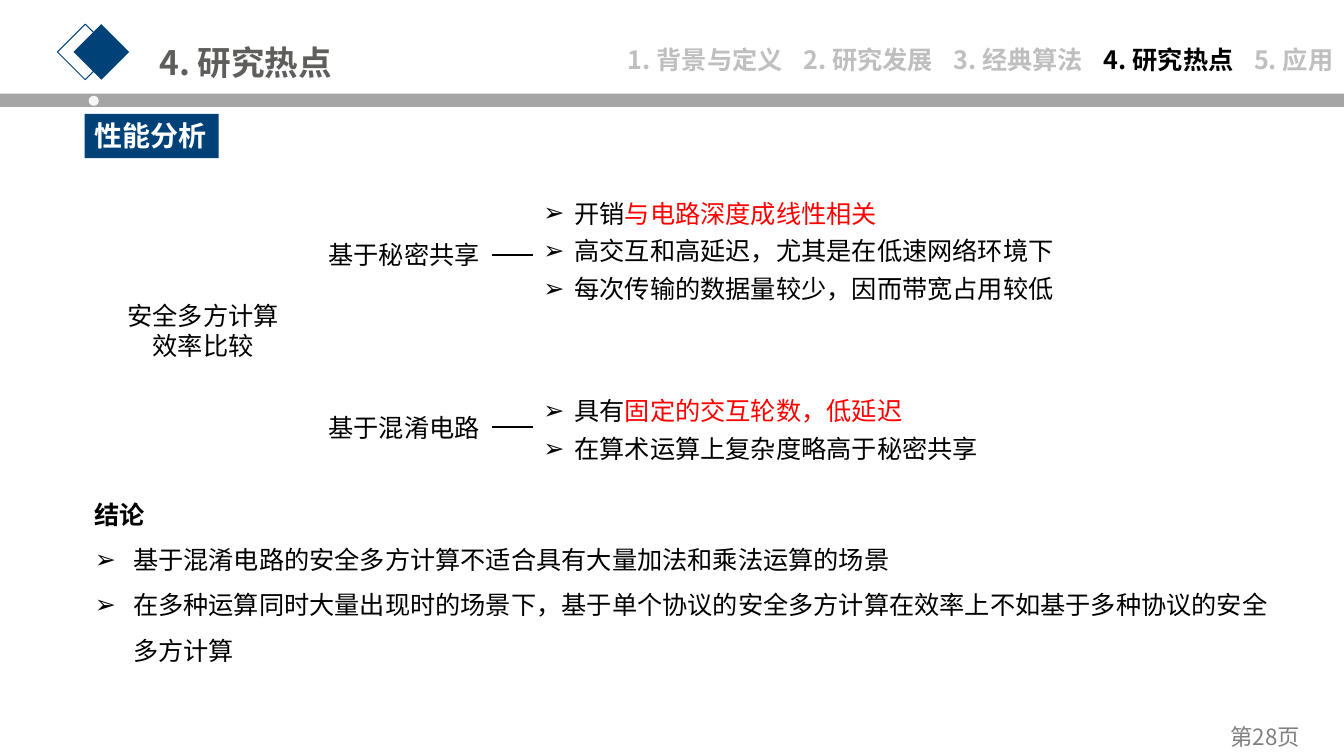
import pptx
import pptx.dml.color
import pptx.enum.shapes
import pptx.enum.text
import pptx.oxml.ns
import pptx.util
from lxml import etree

Inches = pptx.util.Inches
Pt = pptx.util.Pt
SHAPE = pptx.enum.shapes.MSO_SHAPE
ALIGN = pptx.enum.text.PP_ALIGN
qn = pptx.oxml.ns.qn

FONT = "Noto Sans CJK SC"
COLORS = {
    "navy": "004178", "bar": "A5A5A5", "dot": "F6F6F6", "title": "5F5E5C",
    "faded": "BFBFBF", "footer": "808080", "black": "000000",
    "red": "FF0000", "white": "FFFFFF",
}
CHAPTERS = [(6.13, 1.82, "1. 背景与定义"), (7.87, 1.84, "2. 研究发展"),
            (9.36, 1.84, "3. 经典算法"), (10.85, 1.84, "4. 研究热点"),
            (12.34, 0.99, "5. 应用")]
CURRENT = "4. 研究热点"
BRANCHES = [
    ("基于秘密共享", 0.49, (0, 6.09, 1.2), [
        [("开销", "black"), ("与电路深度成线性相关", "red")],
        "高交互和高延迟，尤其是在低速网络环境下",
        "每次传输的数据量较少，因而带宽占用较低"]),
    ("基于混淆电路", 2.2, (1.96, 6.22, 0.82), [
        [("具有", "black"), ("固定的交互轮数，低延迟", "red")],
        "在算术运算上复杂度略高于秘密共享"]),
]
CONCLUSIONS = [
    "基于混淆电路的安全多方计算不适合具有大量加法和乘法运算的场景",
    "在多种运算同时大量出现时的场景下，基于单个协议的安全多方计算在效率上不如基于多种协议的安全多方计算",
]


def color(name):
    return pptx.dml.color.RGBColor.from_string(COLORS[name])


def place(shape, left, top, width, height):
    shape.left, shape.top = Inches(left), Inches(top)
    shape.width, shape.height = Inches(width), Inches(height)
    return shape


def set_bullet(para, hang):
    """Give the paragraph an arrow bullet, or none when hang is 0."""
    properties = para._p.get_or_add_pPr()
    properties.set("marL", str(Inches(hang)))
    properties.set("indent", str(-Inches(hang)))
    if hang:
        etree.SubElement(properties, qn("a:buFont"), typeface="Arial")
        etree.SubElement(properties, qn("a:buChar"), char="➢")
    else:
        etree.SubElement(properties, qn("a:buNone"))


def write(shape, paragraphs, size=18, ink="black", bold=False, align=ALIGN.LEFT,
          spacing=1.0, hang=0, heading=False, right_inset=0.1):
    """Fill a shape; a paragraph is a string or a list of (text, color) spans."""
    frame = shape.text_frame
    frame.word_wrap = True
    frame.auto_size = pptx.enum.text.MSO_AUTO_SIZE.NONE
    frame.vertical_anchor = pptx.enum.text.MSO_ANCHOR.TOP
    frame.margin_left, frame.margin_right = Inches(0.1), Inches(right_inset)
    frame.margin_top = frame.margin_bottom = Inches(0.05)
    for index, spans in enumerate(paragraphs):
        is_heading = heading and index == 0
        para = frame.paragraphs[0] if index == 0 else frame.add_paragraph()
        set_bullet(para, 0 if is_heading else hang)
        para.alignment = align
        para.line_spacing = spacing
        para.space_before = Pt(0)
        for text, span_ink in [(spans, ink)] if isinstance(spans, str) else spans:
            span = para.add_run()
            span.text = text
            span.font.size = Pt(size)
            span.font.bold = bold or is_heading
            span.font.color.rgb = color(span_ink)
            span.font.name = FONT
            etree.SubElement(span._r.get_or_add_rPr(), qn("a:ea"), typeface=FONT)
    return shape


def add_text(page, box, paragraphs, **options):
    shape = page.shapes.add_textbox(*map(Inches, box))
    return write(shape, paragraphs, **options)


def add_block(shapes, kind, box, fill=None, line=None):
    shape = shapes.add_shape(kind, *map(Inches, box))
    shape.shadow.inherit = False
    if fill:
        shape.fill.solid()
        shape.fill.fore_color.rgb = color(fill)
    else:
        shape.fill.background()
    if line:
        shape.line.color.rgb = color(line)
        shape.line.width = Pt(0.75)
    else:
        shape.line.fill.background()
    return shape


def add_rule(page, start, end):
    rule = page.shapes.add_connector(
        pptx.enum.shapes.MSO_CONNECTOR.STRAIGHT, *map(Inches, start + end))
    rule.line.color.rgb = color("black")
    rule.line.width = Pt(1.5)
    etree.SubElement(rule._element.spPr, qn("a:effectLst"))
    return rule


def add_header(page, left, top, width):
    add_block(page.shapes, SHAPE.RECTANGLE, (left, top + 0.93, width, 0.13), fill="bar")
    add_block(page.shapes, SHAPE.OVAL, (left + 0.88, top + 0.95, 0.1, 0.1), fill="dot")
    emblem = page.shapes.add_group_shape()
    for offset, fill, line in [(0.65, None, "navy"), (0.81, "navy", None)]:
        diamond = add_block(emblem.shapes, SHAPE.RECTANGLE,
                            (left + offset, top + 0.32, 0.39, 0.39), fill, line)
        diamond.rotation = 45
    title = place(page.shapes.title, left + 1.48, top + 0.25, 4.22, 0.57)
    write(title, [CURRENT], size=24, ink="title", bold=True, spacing=1.3)
    for offset, chapter_width, chapter in CHAPTERS:
        add_text(page, (left + offset, top + 0.3, chapter_width, 0.46), [chapter],
                 ink="black" if chapter == CURRENT else "faded",
                 bold=True, spacing=1.3, right_inset=0)


def add_comparison(page, left, top):
    """Place the tree: subject, two approaches and the facts about each."""
    add_text(page, (left, top + 1.09, 1.93, 0.71), ["安全多方计算", "效率比较"],
             align=ALIGN.CENTER)
    for approach, label_offset, (offset, width, height), facts in BRANCHES:
        label_top = top + label_offset
        middle = label_top + 0.2
        label = add_text(page, (left + 2.11, label_top, 1.72, 0.4), [approach],
                         right_inset=0)
        rule = add_rule(page, (left + 3.83, middle), (left + 4.24, middle))
        rule.begin_connect(label, 3)
        add_text(page, (left + 4.24, top + offset, width, height), facts,
                 spacing=1.25, hang=0.31)


def add_conclusion(page, left, top, width, height):
    body = place(page.placeholders[1], left, top, width, height)
    write(body, ["结论"] + CONCLUSIONS, spacing=1.5, hang=0.38, heading=True)


def main():
    deck = pptx.Presentation()
    deck.slide_width, deck.slide_height = Inches(13.33), Inches(7.5)
    page = deck.slides.add_slide(deck.slide_layouts[1])
    add_header(page, 0, 0, 13.33)
    tag = add_block(page.shapes, SHAPE.RECTANGLE, (0.84, 1.13, 1.33, 0.44), fill="navy")
    write(tag, ["性能分析"], size=20, ink="white", bold=True, right_inset=0.05)
    add_comparison(page, 1.05, 1.84)
    add_conclusion(page, 0.84, 4.75, 11.85, 1.92)
    add_text(page, (11.86, 7.13, 1.38, 0.37), ["第28页"], size=16, ink="footer",
             align=ALIGN.CENTER)
    deck.save("out.pptx")


if __name__ == "__main__":
    main()
